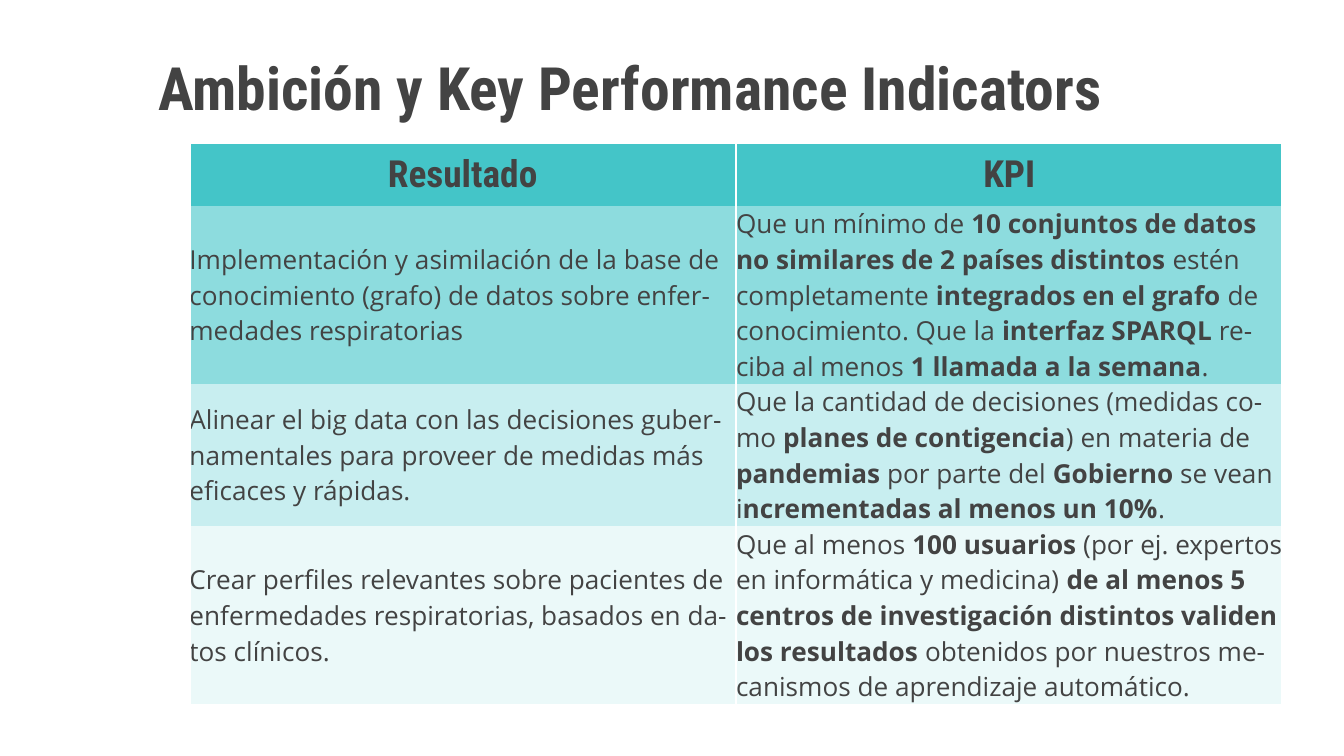
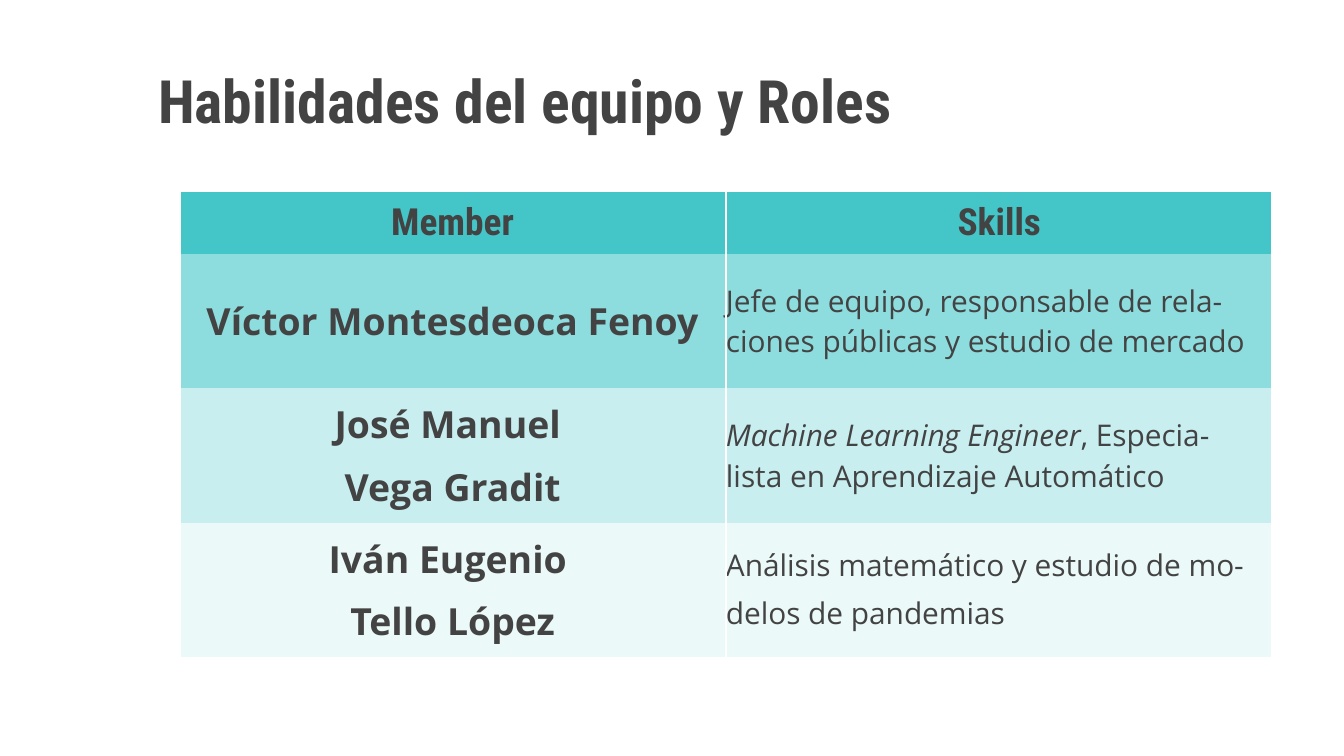
from lxml.etree import SubElement
from pptx import Presentation
from pptx.dml.color import RGBColor
from pptx.enum.text import MSO_ANCHOR as Anchor, MSO_AUTO_SIZE as AutoSize, PP_ALIGN as Align
from pptx.oxml import parse_xml
from pptx.oxml.ns import nsdecls, qn
from pptx.util import Cm, Pt

HEAD_FONT, BODY_FONT = "Roboto Condensed", "Open Sans"
INK, WHITE = "434343", "FFFFFF"
ROW_FILLS = ["44C5C8", "8DDCDE", "C8EEF0", "EBF9F9"]
ROW_HEIGHTS = [1.17, 2.54, 2.54, 2.54]
COL_WIDTH = 10.33
PLAIN_TABLE_STYLE = "{2D5ABB26-0587-4C30-8999-92F81FD0307C}"

# Asterisks enclose the emphasised words.
KPI_ROWS = [
    ("Implementación y asimilación de la base de conocimiento (grafo) de datos "
     "sobre enfer- medades respiratorias",
     "Que un mínimo de* 10 conjuntos de datos no similares de 2 países distintos* "
     "estén completamente *integrados en el grafo *de conocimiento. Que la "
     "*interfaz SPARQL* re- ciba al menos *1 llamada a la semana*."),
    ("Alinear el big data con las decisiones guber- namentales para proveer de "
     "medidas más eficaces y rápidas.",
     "Que la cantidad de decisiones (medidas co- mo *planes de contigencia*) en "
     "materia de *pandemias *por parte del *Gobierno *se vean "
     "i*ncrementadas al menos un 10%*."),
    ("Crear perfiles relevantes sobre pacientes de enfermedades respiratorias, "
     "basados en da- tos clínicos.",
     "Que al menos *100 usuarios* (por ej. expertos en informática y medicina) "
     "*de al menos 5 centros de investigación distintos validen los resultados* "
     "obtenidos por nuestros me- canismos de aprendizaje automático."),
]
TEAM_ROWS = [
    ("Víctor Montesdeoca Fenoy",
     "Jefe de equipo, responsable de rela- ciones públicas y estudio de mercado"),
    ("José Manuel \nVega Gradit",
     "*Machine Learning Engineer*, Especia- lista en Aprendizaje Automático"),
    ("Iván Eugenio \nTello López",
     "Análisis matemático y estudio de mo- delos de pandemias"),
]
HEADER = dict(size=20, font=HEAD_FONT, bold=True, align=Align.CENTER)
KPI = dict(size=14, before=6)
MEMBER = dict(size=20, bold=True, align=Align.CENTER, before=6)
SKILL = dict(size=16, before=6, emphasis="italic")


def rgb(value):
    return RGBColor.from_string(value)


def add_run(p, text, size, font=BODY_FONT, bold=False, italic=False):
    r = p.add_run()
    r.text = text
    r.font.name, r.font.size = font, Pt(size)
    r.font.bold, r.font.italic = bold, italic
    r.font.color.rgb = rgb(INK)


def write(tf, text, size, font=BODY_FONT, bold=False, align=Align.LEFT,
          before=0, emphasis="bold"):
    """Write one paragraph per line; asterisks switch the emphasis on and off."""
    for i, line in enumerate(text.split("\n")):
        p = tf.add_paragraph() if i else tf.paragraphs[0]
        p.alignment, p.space_before = align, Pt(before)
        for j, part in enumerate(line.split("*")):
            if part:
                style = {"bold": bold}
                if j % 2:
                    style[emphasis] = True
                add_run(p, part, size, font, **style)


def add_titled_slide(prs, title, top):
    slide = prs.slides.add_slide(prs.slide_layouts[5])
    sp = slide.shapes.title
    sp.left, sp.top, sp.width, sp.height = Cm(2.74), Cm(top), Cm(19.89), Cm(1.32)
    tf = sp.text_frame
    tf.word_wrap, tf.auto_size = True, AutoSize.NONE
    tf.vertical_anchor = Anchor.MIDDLE
    tf.margin_left = tf.margin_right = tf.margin_top = tf.margin_bottom = Cm(0.25)
    write(tf, title, 32, font=HEAD_FONT, bold=True)
    return slide


def add_side_borders(cell):
    tc_pr = cell._tc.get_or_add_tcPr()
    for i, side in enumerate(("lnL", "lnR")):
        ln = parse_xml(f'<a:{side} {nsdecls("a")} w="{Pt(1.5)}"/>')
        fill = SubElement(ln, qn("a:solidFill"))
        SubElement(fill, qn("a:srgbClr")).set("val", WHITE)
        tc_pr.insert(i, ln)


def format_cell(cell, fill):
    cell.margin_left = cell.margin_right = cell.margin_top = cell.margin_bottom = 0
    cell.vertical_anchor = Anchor.MIDDLE
    cell.fill.solid()
    cell.fill.fore_color.rgb = rgb(fill)
    add_side_borders(cell)


def add_shaded_table(slide, left, top, headers, rows, styles):
    """Add a table in which each row is paler than the one above."""
    frame = slide.shapes.add_table(
        len(rows) + 1, len(headers), Cm(left), Cm(top),
        Cm(COL_WIDTH * len(headers)), Cm(sum(ROW_HEIGHTS)))
    table = frame.table
    table.first_row = table.horz_banding = False
    table._tbl.tblPr.find(qn("a:tableStyleId")).text = PLAIN_TABLE_STYLE
    for col in table.columns:
        col.width = Cm(COL_WIDTH)
    for i, texts in enumerate([headers, *rows]):
        table.rows[i].height = Cm(ROW_HEIGHTS[i])
        for j, text in enumerate(texts):
            cell = table.cell(i, j)
            format_cell(cell, ROW_FILLS[i])
            write(cell.text_frame, text, **(styles[j] if i else HEADER))
    return table


def main():
    prs = Presentation()
    prs.slide_width, prs.slide_height = Cm(25.4), Cm(14.29)

    slide = add_titled_slide(prs, "Ambición y Key Performance Indicators", 0.97)
    add_shaded_table(slide, 3.58, 2.72, ("Resultado", "KPI"), KPI_ROWS, (KPI, KPI))

    slide = add_titled_slide(prs, "Habilidades del equipo y Roles", 1.22)
    table = add_shaded_table(slide, 3.39, 3.63, ("Member", "Skills"), TEAM_ROWS,
                             (MEMBER, SKILL))
    # The larger closing space opens up the last line.
    add_run(table.cell(3, 1).text_frame.paragraphs[0], " ", 20)

    prs.save("out.pptx")


if __name__ == "__main__":
    main()
